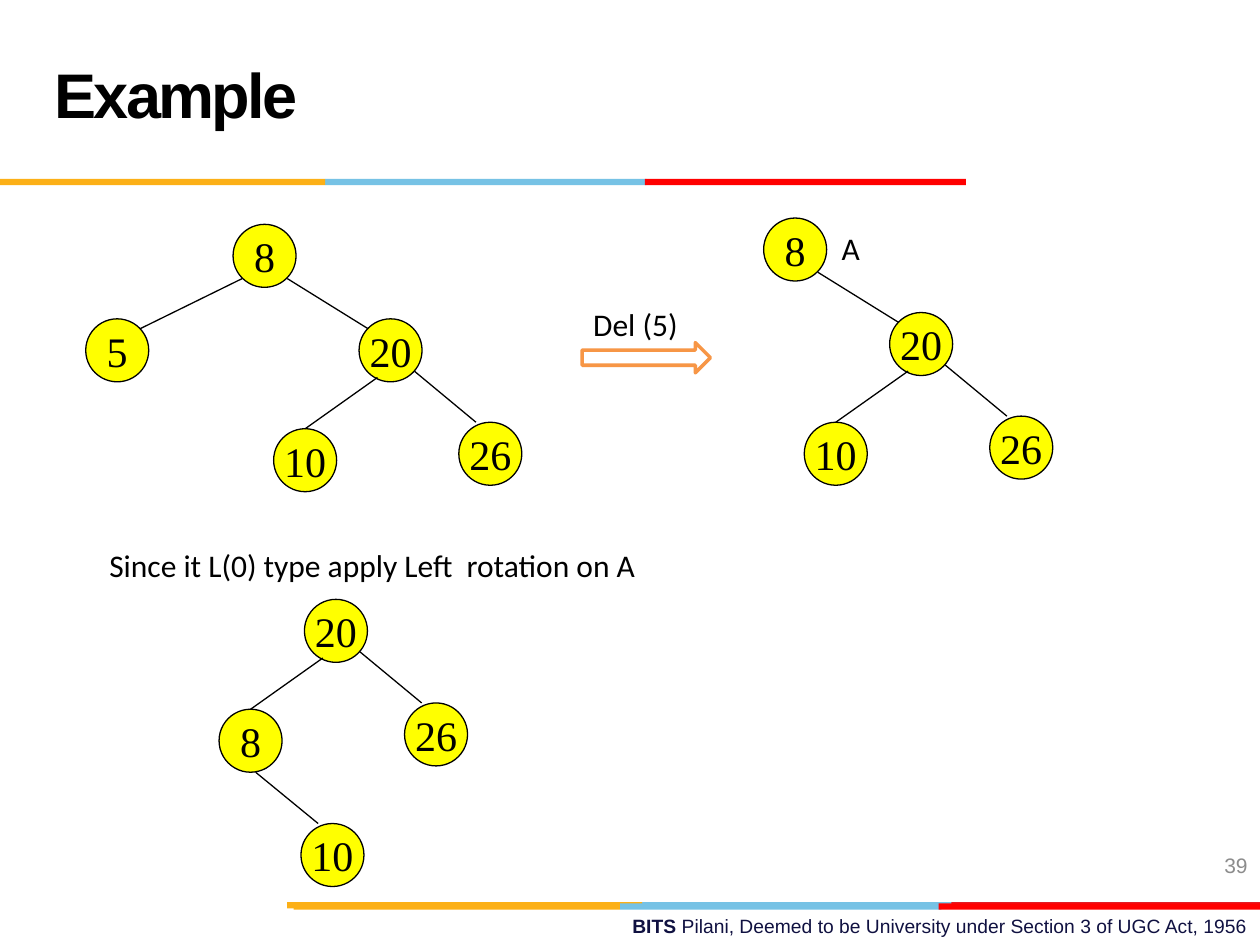
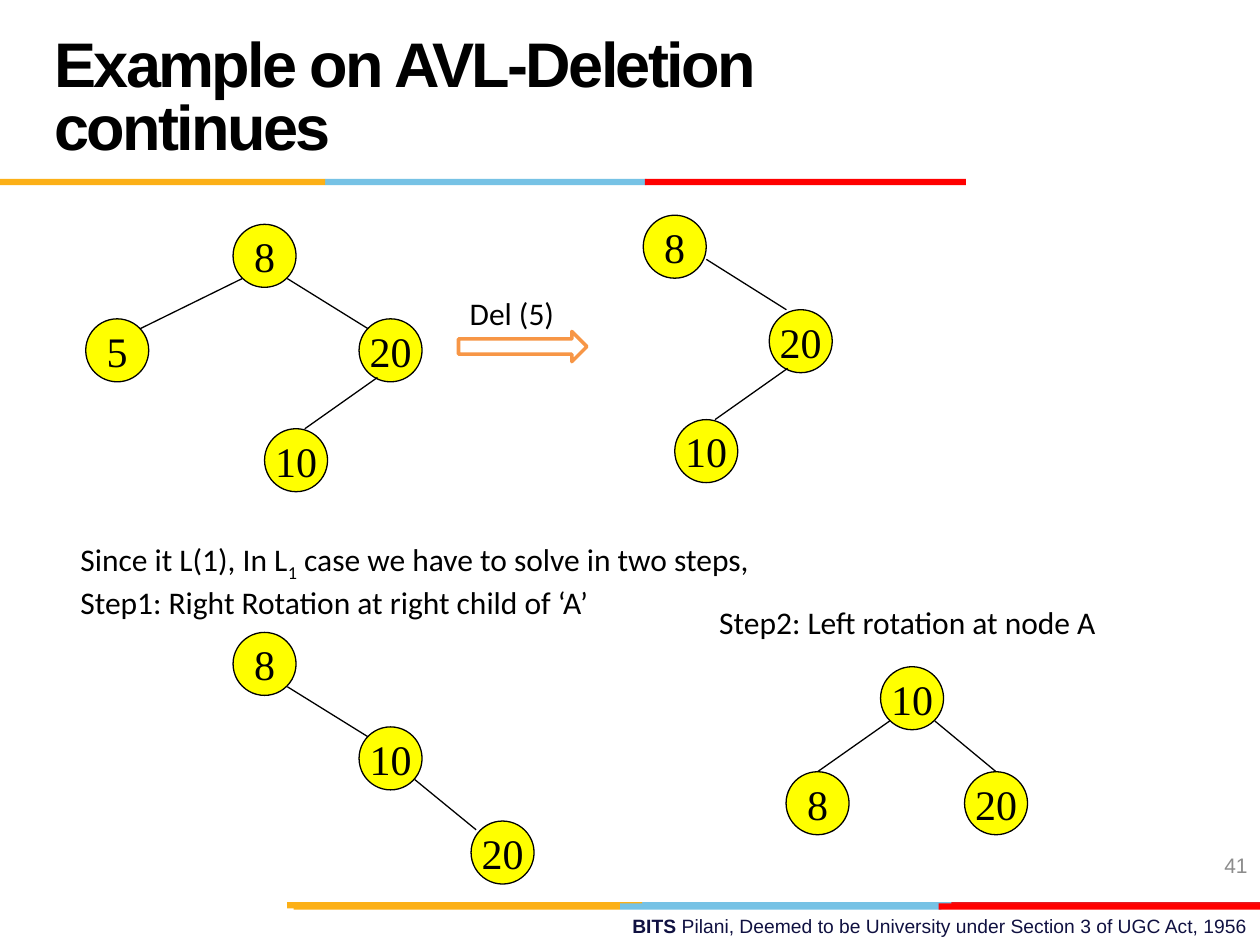
from lxml.etree import SubElement
from pptx import Presentation
from pptx.dml.color import RGBColor
from pptx.enum.shapes import MSO_CONNECTOR as Connector, MSO_SHAPE as Shape
from pptx.enum.text import MSO_ANCHOR as Anchor, PP_ALIGN as Align
from pptx.oxml.ns import qn
from pptx.util import Pt

BLACK = RGBColor(0x00, 0x00, 0x00)
WHITE = RGBColor(0xFF, 0xFF, 0xFF)
YELLOW = RGBColor(0xFF, 0xFF, 0x00)
ORANGE = RGBColor(0xF7, 0x96, 0x46)
GOLD = RGBColor(0xFC, 0xB0, 0x17)
SKY = RGBColor(0x76, 0xC2, 0xE5)
CRIMSON = RGBColor(0xE3, 0x1C, 0x24)
RED = RGBColor(0xFF, 0x00, 0x00)
NAVY = RGBColor(0x10, 0x11, 0x41)
GREY = RGBColor(0x8C, 0x8C, 0x8C)

NODE = 36
BAND_HEIGHT = 3.6
LABEL_HEIGHT = 28.8

LOW_LEFT, LOW_RIGHT = (5.2, 31), (31, 31)
HIGH_LEFT, HIGH_RIGHT = (5.2, 5.7), (31, 5.7)
BASE_LEFT, BASE_RIGHT = (10.5, 33.5), (31.7, 30)
TOP_LEFT, TOP, TOP_RIGHT = (9.8, 0), (18, 0), (23, 0)
BOTTOM, SIDE_RIGHT, SIDE_LEFT = (20.9, 36), (36, 25.2), (2.9, 5)

FOOTER = [[("BITS ", {"bold": True}),
           ("Pilani, Deemed to be University under Section 3 of UGC Act, 1956", {})]]

BANDS = [
    (515.5, [(364.3, 183.6, SKY), (543.6, 176.4, CRIMSON), (164, 203, GOLD)]),
    (516.2, [(354.3, 183.6, SKY), (167.8, 186.5, GOLD), (536.4, 183.6, RED)]),
    (102.2, [(185.8, 183.6, SKY), (0, 185.8, GOLD), (368.6, 183.4, RED)]),
]

SLIDES = [
    {
        "title": "Example",
        "number": "39",
        "arrow": (332.6, 195.8),
        "notes": [
            (55.4, 308.2, 561.6, [[("Since it L(0) type apply Left  rotation on A", {})]]),
            (473.8, 127.4, 25.2, [[("A", {})]]),
        ],
        "trees": [
            ({"8": (133.2, 128.2), "5": (49, 182.2), "20": (205.2, 182.2),
              "10": (156.4, 245), "26": (262.2, 241.3)},
             [("8", LOW_LEFT, "5", HIGH_RIGHT), ("8", LOW_RIGHT, "20", HIGH_LEFT),
              ("20", BASE_LEFT, "10", TOP), ("20", BASE_RIGHT, "26", TOP_LEFT)]),
            ({"8": (436.4, 124.6), "20": (508.4, 178.6),
              "10": (459.6, 241.3), "26": (565.6, 237.8)},
             [("8", LOW_RIGHT, "20", HIGH_LEFT), ("20", BASE_LEFT, "10", TOP),
              ("20", BASE_RIGHT, "26", TOP_LEFT)]),
            ({"20": (174, 342.5), "8": (125.2, 405.3),
              "26": (231.2, 401.7), "10": (172, 470.6)},
             [("20", BASE_LEFT, "8", TOP), ("20", BASE_RIGHT, "26", TOP_LEFT),
              ("8", BOTTOM, "10", TOP_LEFT)]),
        ],
    },
    {
        "title": "Example on AVL-Deletion continues",
        "number": "41",
        "arrow": (262, 189.4),
        "notes": [
            (38.9, 305.3, 561.6,
             [[("Since it L(1), In L", {}), ("1", {"subscript": True}),
               (" case we have to solve in two steps,", {})],
              [("Step1: Right Rotation at right child of ‘A’", {})]]),
            (403.9, 341.3, 274.3, [[("Step2: Left rotation at node A", {})]]),
        ],
        "trees": [
            ({"8": (133.2, 128.2), "5": (49, 182.2), "20": (205.2, 182.2), "10": (151.2, 245)},
             [("8", LOW_LEFT, "5", HIGH_RIGHT), ("8", LOW_RIGHT, "20", HIGH_LEFT),
              ("20", BASE_LEFT, "10", TOP_RIGHT)]),
            ({"8": (367.6, 123), "20": (439.6, 177), "10": (385.6, 239.8)},
             [("20", BASE_LEFT, "10", TOP_RIGHT), ("8", SIDE_RIGHT, "20", TOP_LEFT)]),
            ({"8": (133.2, 361.4), "10": (205.2, 415.4), "20": (269.2, 469.2)},
             [("8", LOW_RIGHT, "10", HIGH_LEFT), ("10", BASE_RIGHT, "20", SIDE_LEFT)]),
            ({"10": (503.2, 381), "8": (449.2, 441), "20": (551.2, 441)},
             [("10", LOW_LEFT, "8", TOP), ("10", LOW_RIGHT, "20", TOP)]),
        ],
    },
]


def write(frame, paragraphs, font, size, colour, bold=False, align=Align.LEFT,
          anchor=Anchor.TOP, wrap=True, leading=None, tracking=None):
    frame.word_wrap = wrap
    frame.vertical_anchor = anchor
    for index, runs in enumerate(paragraphs):
        paragraph = frame.add_paragraph() if index else frame.paragraphs[0]
        paragraph.alignment = align
        if leading:
            paragraph.line_spacing = Pt(leading)
        for text, style in runs:
            run = paragraph.add_run()
            run.text = text
            run.font.name = font
            run.font.size = Pt(size)
            run.font.bold = style.get("bold", bold)
            run.font.color.rgb = colour
            properties = run.font._element
            if tracking:
                properties.set("spc", str(tracking))
            if style.get("subscript"):
                properties.set("baseline", "-25000")


def add_text(slide, box, paragraphs, *args, **style):
    write(slide.shapes.add_textbox(*map(Pt, box)).text_frame, paragraphs, *args, **style)


def add_filled(slide, preset, box, fill, line=None, weight=0.75):
    shape = slide.shapes.add_shape(preset, *map(Pt, box))
    shape.shadow.inherit = False
    shape.fill.solid()
    shape.fill.fore_color.rgb = fill
    if line is None:
        shape.line.fill.background()
    else:
        shape.line.color.rgb = line
        shape.line.width = Pt(weight)
    return shape


def add_frame(slide, title, number):
    add_text(slide, (257.8, 519.1, 462.2, 20.9), FOOTER, "Arial", 11, NAVY, align=Align.RIGHT)
    for top, segments in BANDS:
        for left, width, colour in segments:
            add_filled(slide, Shape.RECTANGLE, (left, top, width, BAND_HEIGHT), colour)
    add_text(slide, (24, 12, 498, 90), [[(title, {})]], "Arial", 36, BLACK, bold=True,
             anchor=Anchor.MIDDLE, leading=36, tracking=-150)
    add_text(slide, (552, 480.2, 168, LABEL_HEIGHT), [[(number, {})]], "Arial", 12, GREY,
             align=Align.RIGHT, anchor=Anchor.MIDDLE)


def add_tree(slide, nodes, edges):
    for key, (left, top) in nodes.items():
        circle = add_filled(slide, Shape.OVAL, (left, top, NODE, NODE), YELLOW, BLACK)
        write(circle.text_frame, [[(key, {})]], "Times New Roman", 24, BLACK,
              align=Align.CENTER, anchor=Anchor.MIDDLE, wrap=False)
    for parent, start, child, end in edges:
        ends = [Pt(origin + offset) for key, port in ((parent, start), (child, end))
                for origin, offset in zip(nodes[key], port)]
        edge = slide.shapes.add_connector(Connector.STRAIGHT, *ends)
        edge.line.color.rgb = BLACK
        edge.line.width = Pt(0.75)
        SubElement(edge._element.spPr, qn("a:effectLst"))


def add_deletion(slide, left, top):
    add_filled(slide, Shape.RIGHT_ARROW, (left, top, 73.4, 17.3), WHITE, ORANGE, 2)
    add_text(slide, (left - 0.7, top - 25.2, 73.4, LABEL_HEIGHT), [[("Del (5)", {})]],
             "Calibri", 18, BLACK)


def main():
    deck = Presentation()
    deck.slide_width, deck.slide_height = Pt(720), Pt(540)
    for content in SLIDES:
        slide = deck.slides.add_slide(deck.slide_layouts[6])
        add_frame(slide, content["title"], content["number"])
        for nodes, edges in content["trees"]:
            add_tree(slide, nodes, edges)
        add_deletion(slide, *content["arrow"])
        for left, top, width, paragraphs in content["notes"]:
            height = LABEL_HEIGHT + 22 * (len(paragraphs) - 1)
            add_text(slide, (left, top, width, height), paragraphs, "Calibri", 18, BLACK)
    deck.save("out.pptx")


if __name__ == "__main__":
    main()
